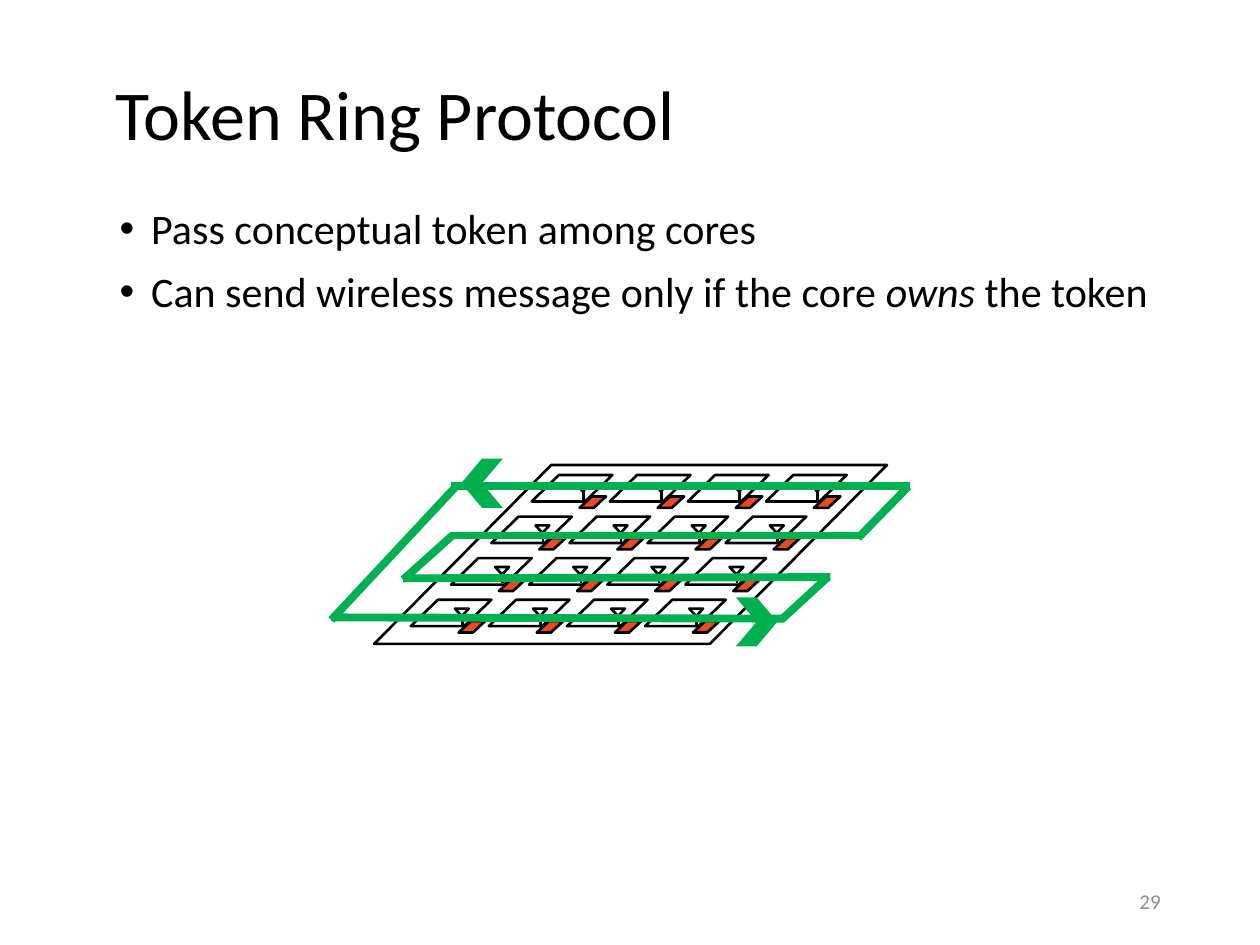
from itertools import product

from lxml import etree
from pptx import Presentation
from pptx.dml.color import RGBColor
from pptx.enum.shapes import MSO_CONNECTOR, MSO_SHAPE
from pptx.enum.text import MSO_ANCHOR, PP_ALIGN
from pptx.oxml.ns import qn
from pptx.util import Inches, Pt

STRAIGHT = MSO_CONNECTOR.STRAIGHT
PARALLELOGRAM = MSO_SHAPE.PARALLELOGRAM
TRIANGLE = MSO_SHAPE.ISOSCELES_TRIANGLE
CHEVRON = MSO_SHAPE.CHEVRON
MIDDLE, TOP = MSO_ANCHOR.MIDDLE, MSO_ANCHOR.TOP
LEFT, RIGHT = PP_ALIGN.LEFT, PP_ALIGN.RIGHT

COLORS = {"ink": "000000", "paper": "FFFFFF", "radio": "E84A27",
          "ring": "00B050", "number": "8C8C8C"}

# Core grid: each row is shifted left to follow the slanted chip.
GRID = 4
FIRST_CORE = (4.22, 3.77)
COLUMN_STEP = 0.62
ROW_SHIFT, ROW_STEP = -0.32, 0.33

RING_LINES = [
    ((2.63, 4.90), (6.22, 4.91)),
    ((3.20, 4.59), (6.59, 4.58)),
    ((3.57, 4.25), (6.84, 4.25)),
    ((3.58, 3.86), (7.22, 3.86)),
    ((6.57, 4.58), (6.20, 4.92)),
    ((3.59, 4.25), (3.20, 4.60)),
    ((7.21, 3.86), (6.81, 4.27)),
    ((3.62, 3.86), (2.63, 4.92)),
]


class SlideBuilder:
    font_name = "Calibri"

    def __init__(self, page):
        self.page = page
        self.target = page.shapes

    def color(self, name):
        return RGBColor.from_string(COLORS[name])

    def start_group(self):
        self.target = self.page.shapes.add_group_shape().shapes

    def end_group(self):
        self.target = self.page.shapes

    def place(self, box, left, top, width, height, anchor):
        box.left, box.top = Inches(left), Inches(top)
        box.width, box.height = Inches(width), Inches(height)
        box.text_frame.word_wrap = True
        box.text_frame.vertical_anchor = anchor

    def format(self, para, size, color="ink", align=LEFT, spacing=None):
        para.alignment = align
        para.line_spacing = spacing
        para.font.name = self.font_name
        para.font.size = Pt(size)
        para.font.color.rgb = self.color(color)

    def title(self, text, *place):
        box = self.page.shapes.title
        self.place(box, *place, MIDDLE)
        box.text_frame.text = text
        self.format(box.text_frame.paragraphs[0], 40, spacing=0.9)

    def bullets(self, items, *place):
        """Each item is a list of (text, italic) spans."""
        box = self.page.placeholders[1]
        self.place(box, *place, TOP)
        frame = box.text_frame
        for number, spans in enumerate(items):
            para = frame.add_paragraph() if number else frame.paragraphs[0]
            properties = para._p.get_or_add_pPr()
            properties.set("marL", str(Inches(0.25)))
            properties.set("indent", str(Inches(-0.25)))
            etree.SubElement(properties, qn("a:buChar"), char="•")
            for text, italic in spans:
                span = para.add_run()
                span.text = text
                if italic:
                    span.font.italic = True
            para.space_before = Pt(10 if number else 0)
            self.format(para, 24, spacing=0.9)

    def page_number(self, text, *place):
        box = self.page.shapes.add_textbox(0, 0, 0, 0)
        self.place(box, *place, MIDDLE)
        box.text_frame.text = text
        self.format(box.text_frame.paragraphs[0], 12, "number", RIGHT)

    def shape(self, kind, left, top, width, height, fill,
              outline=None, slant=None, rotation=0):
        shape = self.target.add_shape(
            kind, Inches(left), Inches(top), Inches(width), Inches(height))
        shape.shadow.inherit = False
        shape.rotation = rotation
        if slant is not None:
            shape.adjustments[0] = slant
        shape.fill.solid()
        shape.fill.fore_color.rgb = self.color(fill)
        if outline:
            shape.line.color.rgb = self.color(outline)
            shape.line.width = Pt(1.5)
        else:
            shape.line.fill.background()

    def line(self, start, end, color, width):
        points = [Inches(value) for value in (*start, *end)]
        connector = self.target.add_connector(STRAIGHT, *points)
        connector.line.color.rgb = self.color(color)
        connector.line.width = Pt(width)
        etree.SubElement(connector._element.spPr, qn("a:effectLst"))

    def core(self, left, top):
        self.shape(PARALLELOGRAM, left, top, 0.64, 0.21, "paper", "ink", 1.03)
        self.shape(PARALLELOGRAM, left + 0.38, top + 0.17, 0.21, 0.09,
                   "radio", "ink", 1.08)

    def antenna(self, left, top):
        """Draw the antenna of the core at this position."""
        mast = left + 0.41
        self.line((mast, top + 0.2), (mast, top + 0.13), "ink", 1.5)
        self.shape(TRIANGLE, mast - 0.06, top + 0.07, 0.11, 0.06,
                   "paper", "ink", rotation=180)


def main():
    deck = Presentation()
    deck.slide_width, deck.slide_height = Inches(10), Inches(7.5)
    builder = SlideBuilder(deck.slides.add_slide(deck.slide_layouts[1]))

    builder.title("Token Ring Protocol", 0.82, 0.21, 8.62, 1.45)
    builder.bullets([
        [("Pass conceptual token among cores", False)],
        [("Can send wireless message only if the core ", False),
         ("owns ", True), ("the token", False)],
    ], 0.85, 1.6, 8.62, 5.35)
    builder.page_number("29", 7.06, 6.95, 2.25, 0.4)

    cores = [(FIRST_CORE[0] + column * COLUMN_STEP + row * ROW_SHIFT,
              FIRST_CORE[1] + row * ROW_STEP)
             for row, column in product(range(GRID), repeat=2)]
    builder.start_group()
    builder.shape(PARALLELOGRAM, 2.97, 3.69, 4.07, 1.42, "paper", "ink", 0.99)
    for position in cores:
        builder.core(*position)
    for position in cores:
        builder.antenna(*position)
    builder.end_group()

    for start, end in RING_LINES:
        builder.line(start, end, "ring", 4.5)
    builder.shape(CHEVRON, 3.66, 3.64, 0.33, 0.39, "ring", rotation=180)
    builder.shape(CHEVRON, 5.84, 4.74, 0.33, 0.39, "ring")

    deck.save("out.pptx")


if __name__ == "__main__":
    main()
